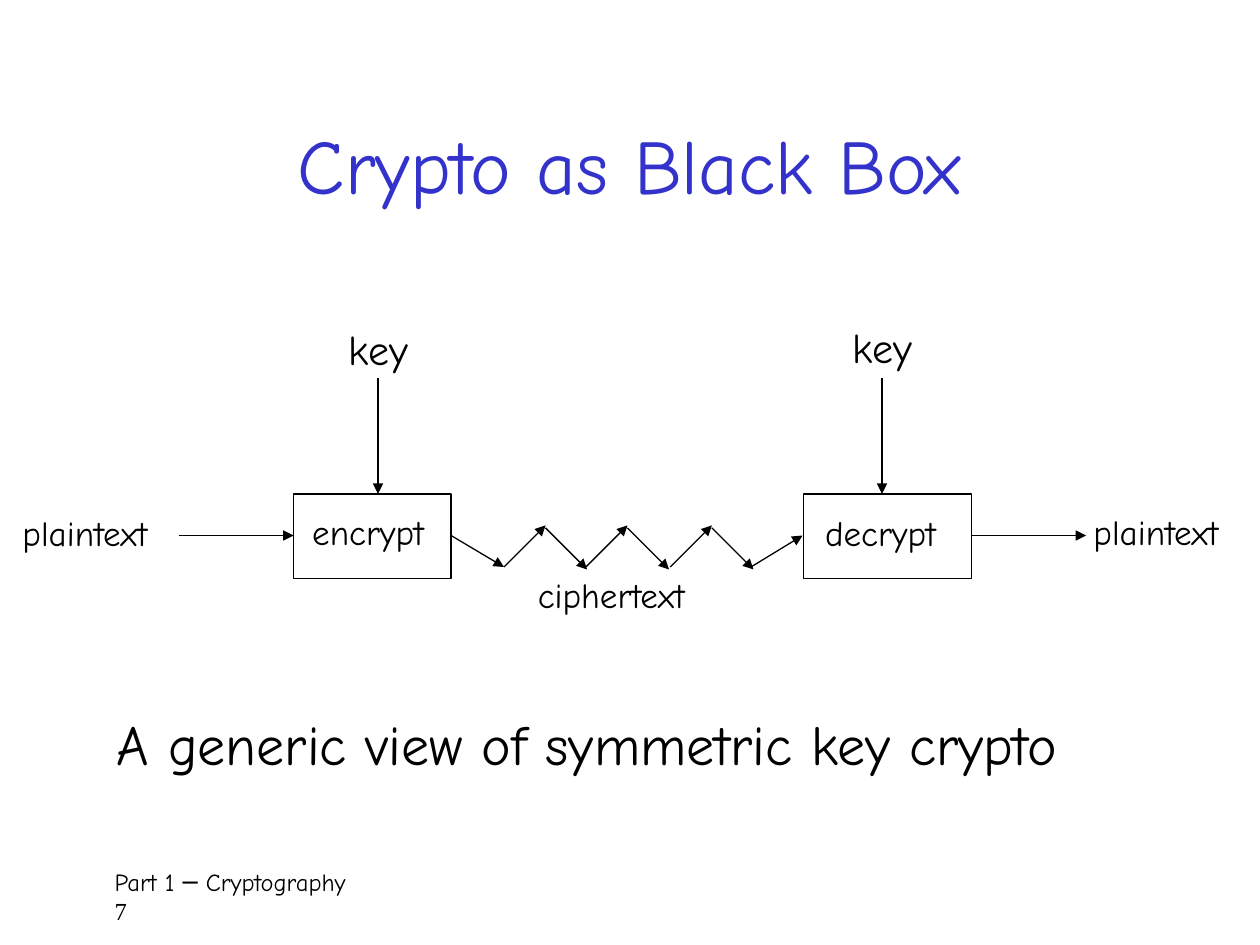
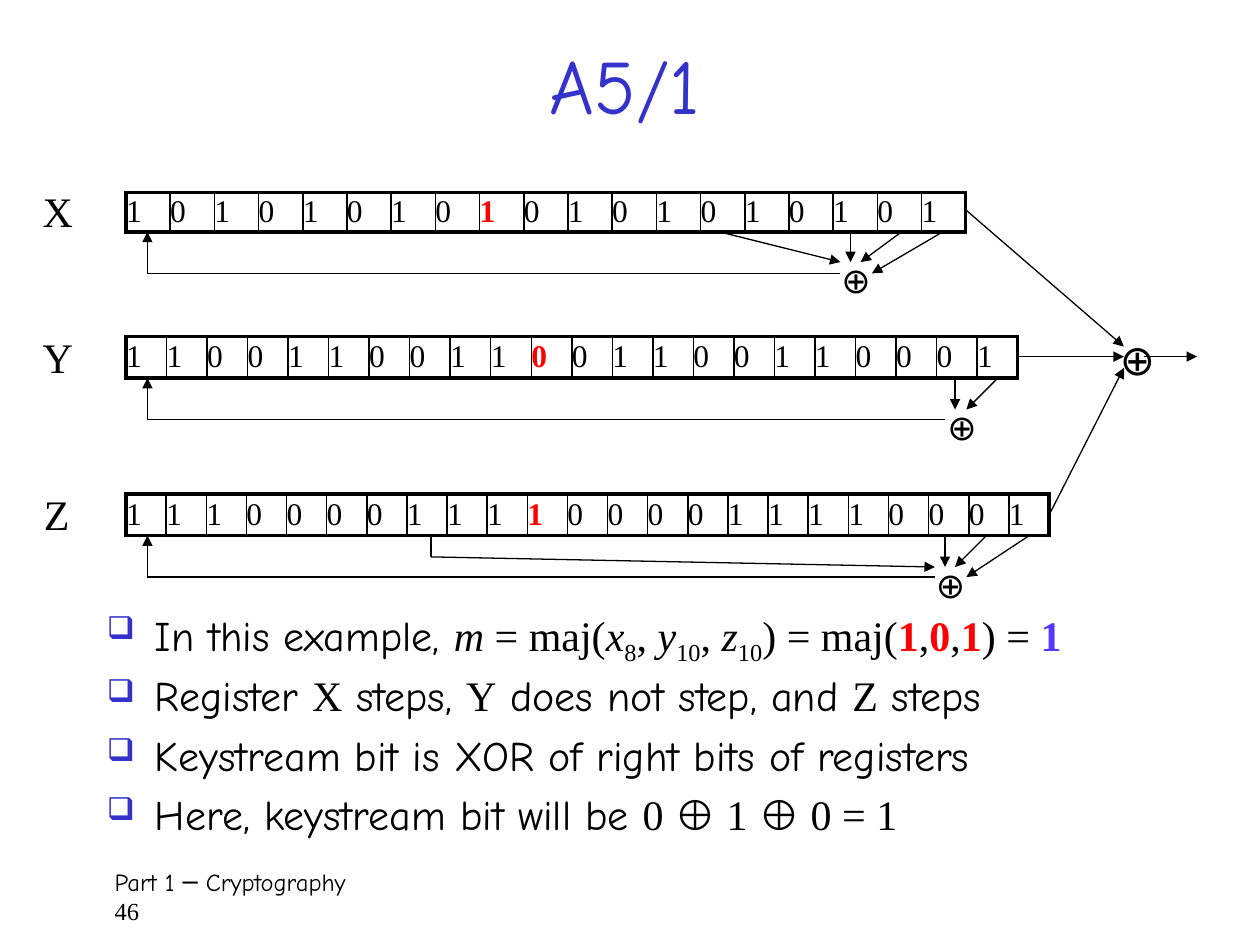
from dataclasses import dataclass
from typing import NamedTuple

import pptx
import pptx.dml.color
import pptx.enum.shapes
import pptx.enum.text
import pptx.oxml
import pptx.oxml.ns
import pptx.util
from pptx.util import Inches

COLORS = {
    "ink": "000000",
    "title": "3333CC",
    "clock": "FF0000",
    "majority": "5437FF",
}
COMIC = "Comic Neue"
TIMES = "Times New Roman"
MIDDLE = pptx.enum.text.MSO_ANCHOR.MIDDLE
CENTER = pptx.enum.text.PP_ALIGN.CENTER
REGISTER_LEFT = 1
FEEDBACK_LEFT = 1.17


class Place(NamedTuple):
    left: float
    top: float
    width: float
    height: float


class Point(NamedTuple):
    x: float
    y: float


class Segment(NamedTuple):
    start: Point
    end: Point


class Label(NamedTuple):
    text: str
    place: Place
    size: float = 20
    wrap: bool = True


@dataclass(frozen=True)
class Register:
    name: str
    name_place: Place
    place: Place
    bits: str
    clock_bit: int
    mixer: Place
    taps: tuple[Segment, ...]
    feedback: Point


def rgb(name: str) -> pptx.dml.color.RGBColor:
    return pptx.dml.color.RGBColor.from_string(COLORS[name])


def inches(place: tuple) -> list:
    return [Inches(length) for length in place]


def append_xml(parent, tag: str, **attributes):
    child = pptx.oxml.parse_xml(f'<a:{tag} {pptx.oxml.ns.nsdecls("a")}/>')
    for key, value in attributes.items():
        child.set(key, str(value))
    parent.append(child)
    return child


def add_span(para, text: str, *, size: float = 24, font: str = COMIC, color: str = "ink",
             bold: bool = False, italic: bool = False, baseline: int = 0) -> None:
    span = para.add_run()
    span.text = text
    span.font.size = pptx.util.Pt(size)
    span.font.name = font
    span.font.color.rgb = rgb(color)
    span.font.bold = bold
    span.font.italic = italic
    if baseline:
        span._r.get_or_add_rPr().set("baseline", str(baseline * 1000))


def add_box(page, place: Place, wrap: bool = True, anchor=None, grow: bool = False):
    frame = page.shapes.add_textbox(*inches(place)).text_frame
    frame.word_wrap = wrap
    if anchor is not None:
        frame.vertical_anchor = anchor
    if grow:
        frame.auto_size = pptx.enum.text.MSO_AUTO_SIZE.SHAPE_TO_FIT_TEXT
    return frame


def add_label(page, label: Label, font: str = COMIC) -> None:
    frame = add_box(page, label.place, wrap=label.wrap, grow=True)
    add_span(frame.paragraphs[0], label.text, size=label.size, font=font)


def add_line(page, start: Point, end: Point, arrow: bool = True) -> None:
    straight = pptx.enum.shapes.MSO_CONNECTOR.STRAIGHT
    connector = page.shapes.add_connector(straight, *inches(start + end))
    connector.line.width = pptx.util.Pt(0.75)
    connector.line.color.rgb = rgb("ink")
    if arrow:
        append_xml(connector.line._get_or_add_ln(), "tailEnd", type="triangle")
    append_xml(connector._element.spPr, "effectLst")


def add_page(deck, title: str, title_place: Place, number: int):
    page = deck.slides.add_slide(deck.slide_layouts[6])
    footer = add_box(page, Place(0.75, 6.83, 8.58, 0.5))
    footer.margin_left = Inches(0.16)
    add_span(footer.paragraphs[0], "Part 1 ─ Cryptography", size=14)
    add_span(footer.add_paragraph(), str(number), size=14, font=TIMES)
    heading = add_box(page, title_place, anchor=MIDDLE).paragraphs[0]
    heading.alignment = CENTER
    add_span(heading, title, size=44, color="title")
    return page


def add_cipher_box(page, place: Place) -> None:
    box = page.shapes.add_shape(pptx.enum.shapes.MSO_SHAPE.RECTANGLE, *inches(place))
    box.shadow.inherit = False
    box.fill.background()
    box.line.color.rgb = rgb("ink")
    box.line.width = pptx.util.Pt(0.75)


def set_border(cell, side: str, width: float) -> None:
    border = append_xml(cell._tc.get_or_add_tcPr(), f"ln{side}", w=pptx.util.Pt(width))
    append_xml(append_xml(border, "solidFill"), "srgbClr", val=COLORS["ink"])


def add_register(page, register: Register) -> None:
    count = len(register.bits)
    table = page.shapes.add_table(1, count, *inches(register.place)).table
    table.first_row = False
    table.horz_banding = False
    for index, bit in enumerate(register.bits):
        table.columns[index].width = Inches(register.place.width / count)
        cell = table.cell(0, index)
        cell.margin_left = cell.margin_right = cell.margin_top = cell.margin_bottom = 0
        cell.vertical_anchor = MIDDLE
        clocked = index == register.clock_bit
        add_span(cell.text_frame.paragraphs[0], bit, size=18, font=TIMES,
                 color="clock" if clocked else "ink", bold=clocked)
        set_border(cell, "L", 2.25 if index == 0 else 1)
        set_border(cell, "R", 2.25 if index == count - 1 else 1)
        set_border(cell, "T", 2.25)
        set_border(cell, "B", 2.25)
        cell.fill.background()
    add_label(page, Label(register.name, register.name_place, 24, False), font=TIMES)
    add_label(page, Label("⊕", register.mixer, 20, False))
    for tap in register.taps:
        add_line(page, *tap)
    corner = Point(FEEDBACK_LEFT, register.feedback.y)
    add_line(page, register.feedback, corner, arrow=False)
    add_line(page, corner, Point(FEEDBACK_LEFT, register.place.top + register.place.height))


def add_bullet(para, spans: list[tuple[str, dict]]) -> None:
    para.line_spacing = 0.8
    para.space_before = pptx.util.Pt(4.8)
    para.space_after = pptx.util.Pt(6)
    properties = para._p.get_or_add_pPr()
    properties.set("marL", str(Inches(0.38)))
    properties.set("indent", str(Inches(-0.38)))
    append_xml(append_xml(properties, "buClr"), "srgbClr", val=COLORS["title"])
    append_xml(properties, "buSzPct", val=75000)
    append_xml(properties, "buChar", char="❑")
    for text, style in spans:
        add_span(para, text, **style)


def draw_black_box(deck) -> None:
    page = add_page(deck, "Crypto as Black Box", Place(0.75, 0.67, 8.5, 1.25), 7)
    add_cipher_box(page, Place(2.33, 3.92, 1.25, 0.67))
    add_cipher_box(page, Place(6.38, 3.92, 1.33, 0.67))
    labels = [
        Label("plaintext", Place(0.08, 4.01, 1.42, 0.49)),
        Label("key", Place(6.67, 2.5, 0.92, 0.57), 24),
        Label("key", Place(2.67, 2.52, 0.9, 0.57), 24),
        Label("plaintext", Place(8.58, 4, 1.42, 0.49)),
        Label("ciphertext", Place(4.17, 4.5, 1.67, 0.49)),
        Label("A generic view of symmetric key crypto", Place(0.83, 5.58, 8.54, 0.64), 32, False),
        Label("encrypt", Place(2.38, 4, 1.2, 0.49), wrap=False),
        Label("decrypt", Place(6.45, 4.01, 1.22, 0.49), wrap=False),
    ]
    for label in labels:
        add_label(page, label)
    for left in (1.42, 7.71):
        add_line(page, Point(left, 4.25), Point(left + 0.91, 4.25))
    for key_x in (3, 7):
        add_line(page, Point(key_x, 3), Point(key_x, 3.92))
    add_line(page, Point(3.58, 4.25), Point(4, 4.5))
    for left in (4, 4.65, 5.32):
        peak = left + 0.33
        add_line(page, Point(left, 4.5), Point(peak, 4.17))
        add_line(page, Point(peak, 4.19), Point(peak + 0.33, 4.52))
    add_line(page, Point(5.96, 4.5), Point(6.37, 4.25))


REGISTERS = [
    Register("X", Place(0.24, 1.42, 0.42, 0.5), Place(REGISTER_LEFT, 1.53, 6.67, 0.31),
             "1010101010101010101", 8, Place(6.58, 2, 0.41, 0.43),
             (Segment(Point(6.75, 1.83), Point(6.75, 2.08)),
              Segment(Point(7.17, 1.83), Point(6.83, 2.08)),
              Segment(Point(7.5, 1.83), Point(6.92, 2.17)),
              Segment(Point(5.67, 1.83), Point(6.67, 2.08))),
             Point(6.67, 2.17)),
    Register("Y", Place(0.24, 2.58, 0.42, 0.5), Place(REGISTER_LEFT, 2.67, 7.08, 0.33),
             "1100110011001100110001", 10, Place(7.42, 3.17, 0.41, 0.43),
             (Segment(Point(7.58, 3), Point(7.58, 3.25)),
              Segment(Point(7.92, 3), Point(7.67, 3.25))),
             Point(7.5, 3.33)),
    Register("Z", Place(0.25, 3.83, 0.4, 0.5), Place(REGISTER_LEFT, 3.92, 7.33, 0.33),
             "11100001111000011110001", 10, Place(7.33, 4.42, 0.41, 0.43),
             (Segment(Point(7.5, 4.25), Point(7.5, 4.5)),
              Segment(Point(7.83, 4.25), Point(7.58, 4.5)),
              Segment(Point(8.17, 4.25), Point(7.67, 4.58)),
              Segment(Point(3.42, 4.42), Point(7.42, 4.5))),
             Point(7.42, 4.58)),
]


def draw_keystream(deck) -> None:
    page = add_page(deck, "A5/1", Place(0.75, 0.33, 8.42, 0.67), 46)
    plain = {"font": TIMES}
    variable = plain | {"italic": True}
    subscript = plain | {"baseline": -25}
    clocked = plain | {"color": "clock", "bold": True}
    majority = plain | {"color": "majority", "bold": True}
    bullets = [
        [("In this example, ", {}), ("m", variable), (" = maj(", plain),
         ("x", variable), ("8", subscript), (", ", plain),
         ("y", variable), ("10", subscript), (", ", plain),
         ("z", variable), ("10", subscript), (") = maj(", plain),
         ("1", clocked), (",", plain), ("0", clocked), (",", plain), ("1", clocked),
         (") = ", plain), ("1", majority)],
        [("Register ", {}), ("X", plain), (" steps, ", {}), ("Y", plain),
         (" does not step, and ", {}), ("Z", plain), (" steps", {})],
        [("Keystream bit is XOR of right bits of registers", {})],
        [("Here, keystream bit will be ", {}), ("0 ⊕ 1 ⊕ 0 = 1", plain)],
    ]
    body = add_box(page, Place(0.75, 4.83, 8.5, 1.92))
    for index, spans in enumerate(bullets):
        add_bullet(body.add_paragraph() if index else body.paragraphs[0], spans)
    for register in REGISTERS:
        add_register(page, register)
    add_line(page, Point(3.42, 4.25), Point(3.42, 4.42), arrow=False)
    add_label(page, Label("⊕", Place(8.79, 2.6, 0.46, 0.5), 24, False))
    add_line(page, Point(7.67, 1.67), Point(8.92, 2.75))
    add_line(page, Point(8.08, 2.83), Point(8.92, 2.83))
    add_line(page, Point(8.33, 4.08), Point(8.92, 2.92))
    add_line(page, Point(9.08, 2.83), Point(9.5, 2.83))


def main() -> None:
    deck = pptx.Presentation()
    deck.slide_width = Inches(10)
    deck.slide_height = Inches(7.5)
    draw_black_box(deck)
    draw_keystream(deck)
    deck.save("out.pptx")


if __name__ == "__main__":
    main()
